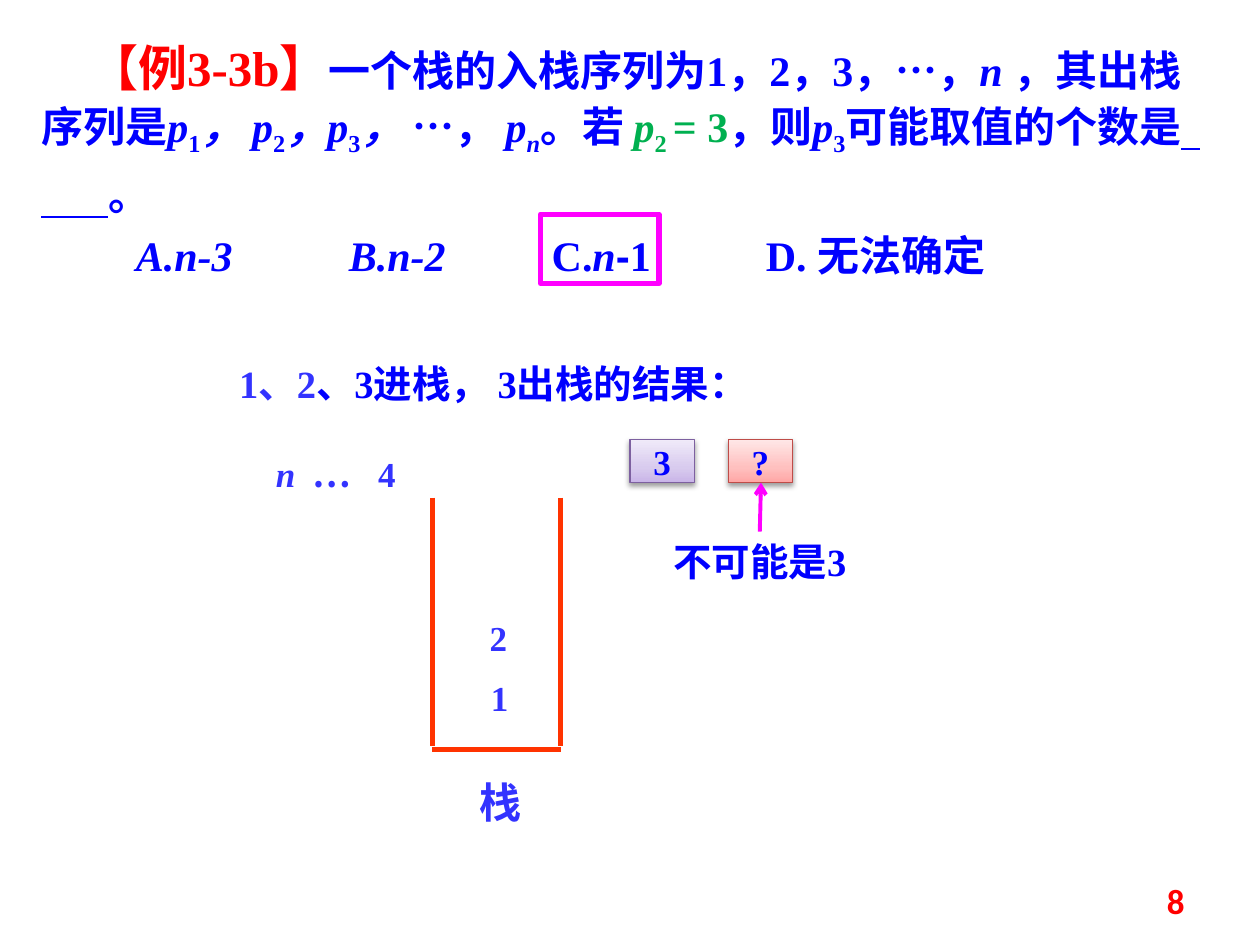
from lxml.etree import SubElement
from pptx import Presentation
from pptx.dml.color import RGBColor
from pptx.enum.shapes import MSO_CONNECTOR, MSO_SHAPE
from pptx.enum.text import MSO_ANCHOR, MSO_AUTO_SIZE, PP_ALIGN
from pptx.oxml.ns import qn
from pptx.util import Inches, Pt

# The slide is a grid of 100 columns by 75 rows of square cells
CELL = Inches(0.1)
SERIF, CJK = "Times New Roman", "Noto Sans CJK SC"
BLUE, SOFT_BLUE, RED = "0000FF", "3333FF", "FF0000"
GREEN, MAGENTA, ORANGE = "00B050", "FF00FF", "FF3300"

ITALIC = {"italic": True}
SUB = {"sub": True}
ELLIPSIS = {"font": CJK}
ANSWER_BLANK = " " * 10  # underlined, so it shows as a line to fill in

QUESTION = [
    ("\t【例3-3b】", {"size": 28, "color": RED}),
    ("一个栈的入栈序列为1，2，3，", {}), ("…", ELLIPSIS), ("，", {}),
    ("n ", ITALIC), ("，其出栈序列是", {}),
    ("p", ITALIC), ("1", SUB), ("， p", ITALIC), ("2", SUB),
    ("，p", ITALIC), ("3", SUB), ("， ", ITALIC), ("…", ELLIPSIS),
    ("， ", {}), ("p", ITALIC), ("n", {**SUB, **ITALIC}), ("。若 ", {}),
    ("p", {**ITALIC, "color": GREEN}), ("2 ", {**SUB, "color": GREEN}),
    ("= 3", {"color": GREEN}), ("，则", {}), ("p", ITALIC), ("3", SUB),
    ("可能取值的个数是", {}), (ANSWER_BLANK, {"underline": True}), ("。", {}),
]
OPTIONS = [
    ("\tA.n-3\tB.n-2\t", ITALIC), ("C.", {}), ("n", ITALIC),
    ("-", {"font": "Arial"}), ("1\tD. 无法确定", {}),
]
WAITING = [("n\t", ITALIC), ("…\t", ELLIPSIS), ("4", {})]

# Gradient stops (position in percent, colour) and outline of the output boxes
PURPLE_BOX = ([(0, "C9B5E8"), (35, "D8CBEE"), (100, "F0EAF9")], "7D60A0")
PINK_BOX = ([(0, "FFA6A5"), (35, "FFC0BF"), (100, "FFE7E7")], "BF4C48")


def cells(*counts):
    return [round(count * CELL) for count in counts]


def rgb(code):
    return RGBColor.from_string(code)


def add_run(paragraph, text, size, color, font=SERIF, bold=True,
            italic=False, underline=False, sub=False):
    run = paragraph.add_run()
    run.text = text
    style = run.font
    style.size, style.name, style.bold = Pt(size), font, bold
    style.italic, style.underline = italic, underline
    style.color.rgb = rgb(color)
    properties = style._element
    SubElement(properties, qn("a:ea"), typeface=CJK)
    if sub:
        properties.set("baseline", "-25000")


def write(paragraph, runs, size, color, align=PP_ALIGN.LEFT,
          line_spacing=None, tabs=()):
    """Fill a paragraph; tab stops are in columns."""
    paragraph.alignment = align
    if line_spacing:
        paragraph.line_spacing = Pt(line_spacing)
    if tabs:
        stops = SubElement(paragraph._p.get_or_add_pPr(), qn("a:tabLst"))
        for position in cells(*tabs):
            SubElement(stops, qn("a:tab"), pos=str(position), algn="l")
    for text, style in runs:
        add_run(paragraph, text, **{"size": size, "color": color, **style})


def prepare(frame, padded=True):
    frame.word_wrap = True
    frame.auto_size = MSO_AUTO_SIZE.SHAPE_TO_FIT_TEXT
    if not padded:
        frame.margin_left = frame.margin_right = 0
        frame.margin_top = frame.margin_bottom = 0
    return frame


def add_text(slide, place, runs, size, color, padded=True, **layout):
    frame = prepare(slide.shapes.add_textbox(*cells(*place)).text_frame, padded)
    write(frame.paragraphs[0], runs, size, color, **layout)
    return frame


def add_line(slide, start, end, color, width, arrow=False):
    line = slide.shapes.add_connector(MSO_CONNECTOR.STRAIGHT,
                                      *cells(*start, *end))
    line.line.color.rgb = rgb(color)
    line.line.width = Pt(width)
    if arrow:
        SubElement(line.line._get_or_add_ln(), qn("a:tailEnd"), type="arrow")
    SubElement(line._element.spPr, qn("a:effectLst"))


def add_rectangle(slide, place, color, width):
    box = slide.shapes.add_shape(MSO_SHAPE.RECTANGLE, *cells(*place))
    box.line.color.rgb = rgb(color)
    box.line.width = Pt(width)
    box.shadow.inherit = False
    return box


def add_output_box(slide, place, label, look):
    stops, outline = look
    box = add_rectangle(slide, place, outline, 0.75)
    # Three-stop gradient, darkest at the bottom
    box.fill.gradient()
    gradient = box._element.spPr.find(qn("a:gradFill"))
    stop_list = gradient.find(qn("a:gsLst"))
    for stop in list(stop_list):
        stop_list.remove(stop)
    for percent, color in stops:
        stop = SubElement(stop_list, qn("a:gs"), pos=str(percent * 1000))
        SubElement(stop, qn("a:srgbClr"), val=color)
    gradient.find(qn("a:lin")).set("ang", "16200000")
    # Soft shadow below the box
    effects = box._element.spPr.find(qn("a:effectLst"))
    shadow = SubElement(effects, qn("a:outerShdw"), blurRad=str(Pt(3.1)),
                        dist=str(Pt(1.6)), dir="5400000", rotWithShape="0")
    black = SubElement(shadow, qn("a:srgbClr"), val="000000")
    SubElement(black, qn("a:alpha"), val="38000")
    frame = prepare(box.text_frame, padded=False)
    write(frame.paragraphs[0], [(label, {})], 20, BLUE, PP_ALIGN.CENTER)


def add_question(slide):
    frame = add_text(slide, (2.3, 2.3, 94.5, 20.6), QUESTION, 24, BLUE,
                     line_spacing=35, tabs=[3.8])
    write(frame.add_paragraph(), OPTIONS, 24, BLUE, line_spacing=35,
          tabs=[7.5, 24.4, 40.5, 57.5])


def add_stack(slide):
    left, right, top, bottom = 34.3, 44.5, 39.5, 59.5
    for side in (left, right):
        add_line(slide, (side, top), (side, bottom - 0.3), ORANGE, 3)
    add_line(slide, (left, bottom), (right, bottom), ORANGE, 3)
    for label, place, size in (("栈", (37.4, 61.6, 4.7, 4), 24),
                               ("1", (37.1, 53.7, 5.1, 3.4), 20),
                               ("2", (37, 48.9, 5.1, 3.4), 20)):
        add_text(slide, place, [(label, {})], size, SOFT_BLUE, padded=False,
                 align=PP_ALIGN.CENTER)
    add_text(slide, (21.9, 35.9, 10.9, 3.4), WAITING, 20, SOFT_BLUE,
             padded=False, tabs=[2.9, 8.1])


def add_output(slide):
    add_output_box(slide, (50, 34.9, 5.1, 3.4), "3", PURPLE_BOX)
    add_output_box(slide, (57.8, 34.9, 5.1, 3.4), "?", PINK_BOX)
    add_text(slide, (48.2, 42.2, 24.2, 4.7), [("不可能是3", {})], 22, BLUE,
             align=PP_ALIGN.CENTER)
    add_line(slide, (60.3, 42.2), (60.4, 38.3), MAGENTA, 2.25, arrow=True)
    add_text(slide, (18, 28.1, 43.8, 4.7),
             [("1、2", {"color": SOFT_BLUE}), ("、3进栈， 3出栈的结果：", {})],
             22, BLUE)


def main():
    deck = Presentation()
    deck.slide_width, deck.slide_height = cells(100, 75)
    slide = deck.slides.add_slide(deck.slide_layouts[6])

    add_question(slide)
    add_stack(slide)
    add_output(slide)

    # Page number
    number = add_text(slide, (71.7, 69.5, 23.3, 4), [("8", {"font": "Calibri"})],
                      20, RED, align=PP_ALIGN.RIGHT)
    number.auto_size = MSO_AUTO_SIZE.NONE
    number.vertical_anchor = MSO_ANCHOR.MIDDLE

    # Frame around the right answer
    add_rectangle(slide, (42.9, 17, 9.4, 5.5), MAGENTA, 3).fill.background()

    deck.save("out.pptx")


if __name__ == "__main__":
    main()
